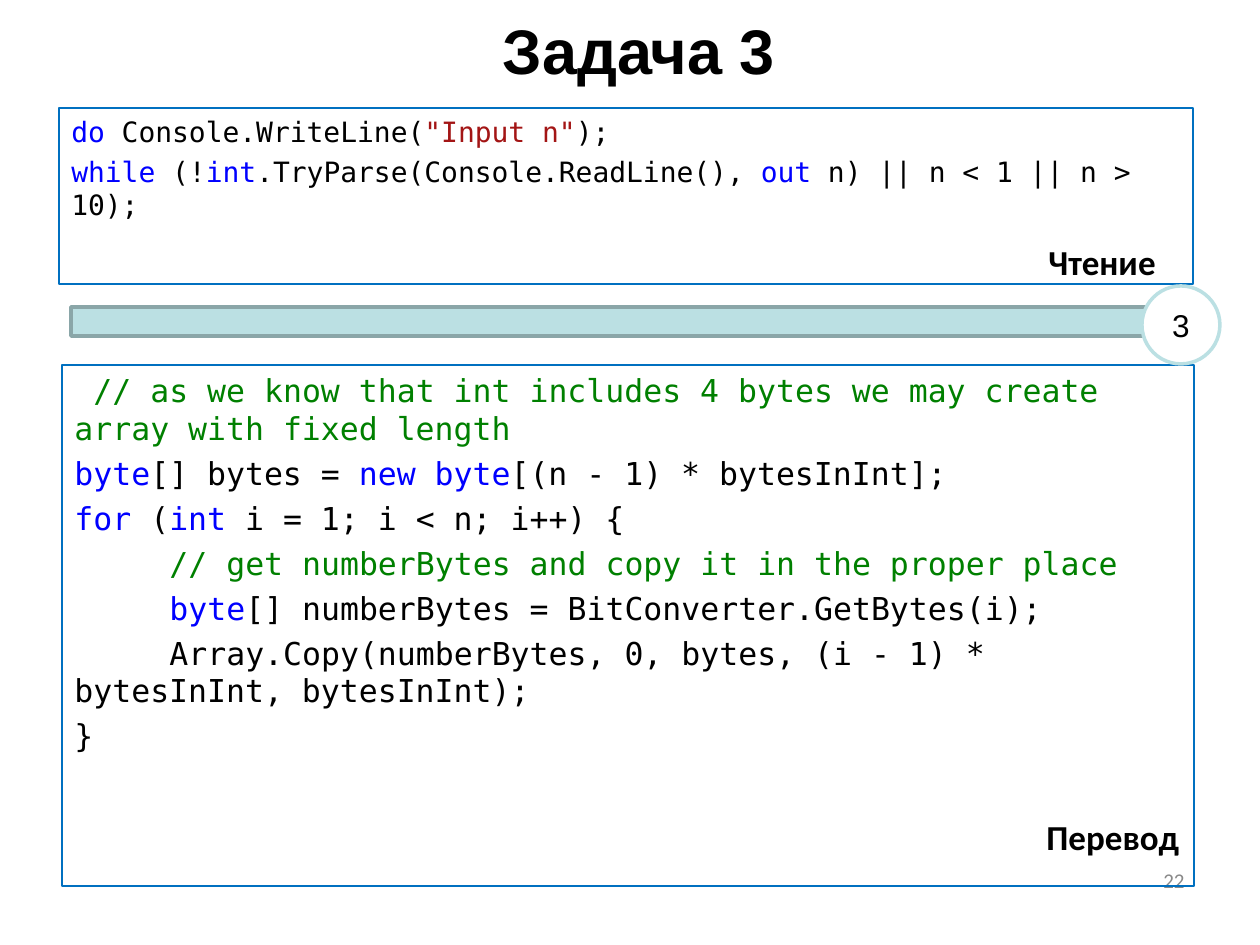
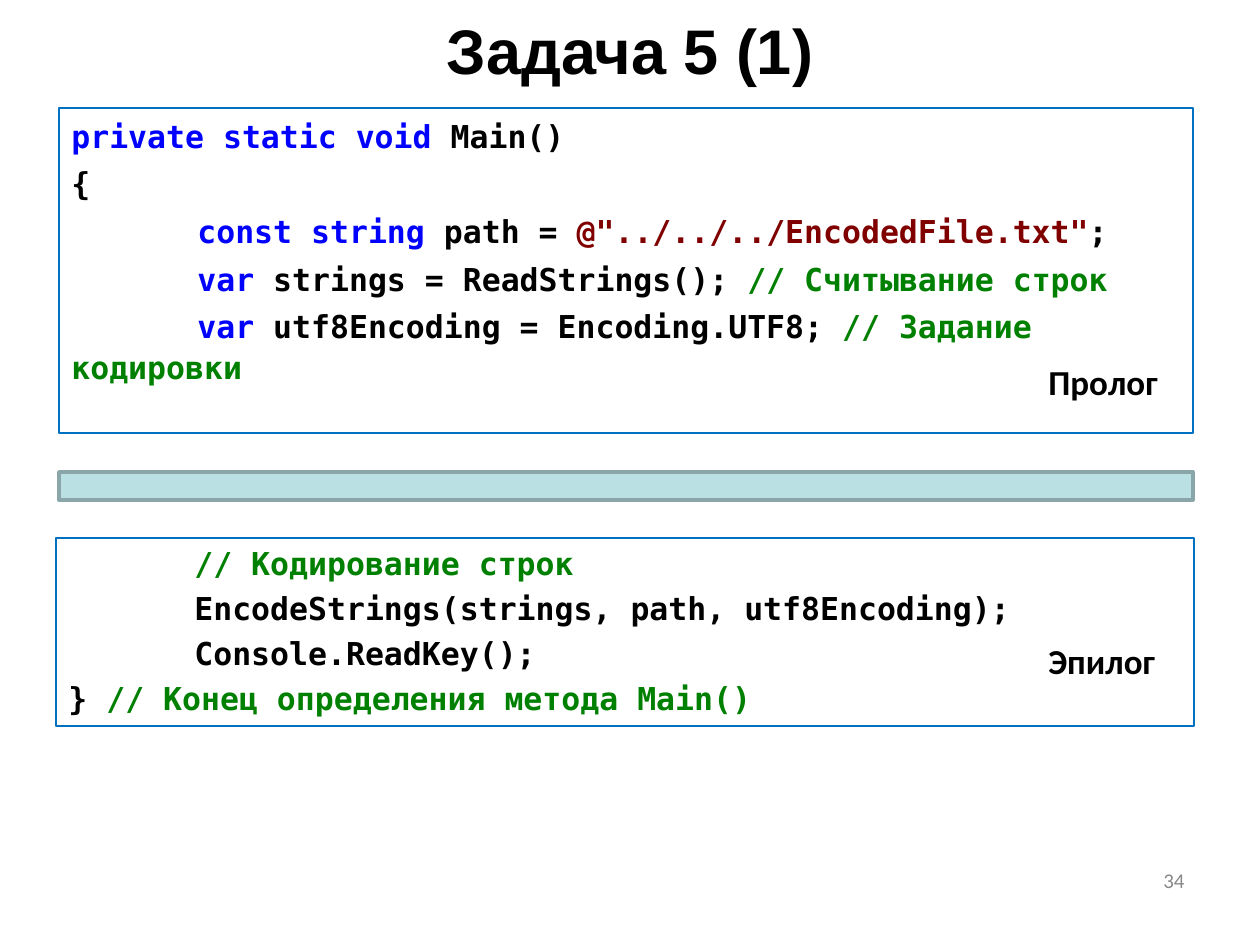
from dataclasses import dataclass

from pptx import Presentation
from pptx import util as u
from pptx.dml.color import RGBColor
from pptx.enum import shapes, text

SCALE = 914400 // 126


@dataclass(frozen=True)
class Theme:
    """Colours, fonts and type sizes shared by the slides."""
    ink: str = "000000"
    keyword: str = "0000FF"
    literal: str = "A31515"
    path_literal: str = "800000"
    comment: str = "008000"
    frame: str = "0070C0"
    band: str = "BBE0E3"
    band_edge: str = "8AA6A8"
    paper: str = "FFFFFF"
    muted: str = "898989"
    heading_font: str = "Arial"
    label_font: str = "Calibri"
    code_font: str = "DejaVu Sans Mono"
    title_size: int = 36
    label_size: int = 20
    code_size: int = 18
    small_code_size: int = 16
    number_size: int = 12
    paragraph_gap: float = 0.23


THEME = Theme()
TITLE_BOX = (63, 10, 1134, 78)
NUMBER_BOX = (903, 861, 294, 65)
CHARACTER = 19
TAB = 126


def pixels(value):
    """Turn pixels into EMU."""
    return u.Emu(round(value * SCALE))


def color(value):
    """Turn a hex string into a colour."""
    return RGBColor.from_string(value)


def set_font(font, name, size, ink=THEME.ink, bold=False):
    """Apply one type style to a font."""
    font.name, font.size, font.bold = name, u.Pt(size), bold
    font.color.rgb = color(ink)


def add_text(slide, box, words, name, size, ink=THEME.ink, bold=False,
             align=text.PP_ALIGN.LEFT, anchor=text.MSO_ANCHOR.TOP, wrap=True):
    """Add a single-style line of text."""
    frame = slide.shapes.add_textbox(*map(pixels, box)).text_frame
    frame.word_wrap = wrap
    frame.vertical_anchor = anchor
    paragraph = frame.paragraphs[0]
    paragraph.text = words
    paragraph.alignment = align
    set_font(paragraph.font, name, size, ink, bold)


def add_figure(slide, kind, box, line, width, fill=None):
    """Add a flat outlined preset shape."""
    shape = slide.shapes.add_shape(kind, *map(pixels, box))
    shape.shadow.inherit = False
    shape.line.color.rgb = color(line)
    shape.line.width = u.Pt(width)
    if fill:
        shape.fill.solid()
        shape.fill.fore_color.rgb = color(fill)
    else:
        shape.fill.background()
    return shape


def add_code(slide, box, lines, size=THEME.code_size, bold=False, spacing=1.0):
    """Add a framed listing; each line is a first-line indent and its tokens."""
    shape = add_figure(slide, shapes.MSO_SHAPE.RECTANGLE, box, THEME.frame, 1.25)
    frame = shape.text_frame
    frame.word_wrap = True
    frame.vertical_anchor = text.MSO_ANCHOR.TOP
    for index, (indent, *tokens) in enumerate(lines):
        paragraph = frame.add_paragraph() if index else frame.paragraphs[0]
        paragraph.alignment = text.PP_ALIGN.LEFT
        paragraph.space_before = u.Pt(round(size * THEME.paragraph_gap, 1))
        paragraph.line_spacing = spacing
        properties = paragraph._p.get_or_add_pPr()
        properties.set("marL", "0")
        properties.set("indent", str(pixels(indent)))
        set_font(paragraph.font, THEME.code_font, size, bold=bold)
        for token in tokens:
            words, ink = (token, THEME.ink) if isinstance(token, str) else token
            run = paragraph.add_run()
            run.text = words
            run.font.color.rgb = color(ink)


def add_label(slide, box):
    """Return a writer of bold labels at the given box."""
    def write(words):
        """Write the label."""
        add_text(slide, box, words, THEME.label_font, THEME.label_size,
                 bold=True, wrap=False)
    return write


def add_band(slide, box):
    """Add the divider between two listings."""
    add_figure(slide, shapes.MSO_SHAPE.RECTANGLE, box, THEME.band_edge, 2, THEME.band)


def add_badge(slide, box, words):
    """Add the round step marker."""
    shape = add_figure(slide, shapes.MSO_SHAPE.OVAL, box, THEME.band, 2, THEME.paper)
    frame = shape.text_frame
    frame.vertical_anchor = text.MSO_ANCHOR.MIDDLE
    paragraph = frame.paragraphs[0]
    paragraph.text = words
    paragraph.alignment = text.PP_ALIGN.CENTER
    set_font(paragraph.font, THEME.heading_font, THEME.code_size)


def start_slide(presentation, title, number):
    """Add a blank slide with its title and page number."""
    slide = presentation.slides.add_slide(presentation.slide_layouts[6])
    add_text(slide, TITLE_BOX, title, THEME.heading_font, THEME.title_size, bold=True,
             align=text.PP_ALIGN.CENTER, anchor=text.MSO_ANCHOR.MIDDLE)
    add_text(slide, NUMBER_BOX, number, THEME.label_font, THEME.number_size,
             THEME.muted, align=text.PP_ALIGN.RIGHT)
    return slide


def keyword(words):
    """Mark a language keyword."""
    return words, THEME.keyword


def comment(words):
    """Mark a code comment."""
    return words, THEME.comment


def build_bytes_slide(presentation):
    """Build the slide on reading a number and converting it to bytes."""
    slide = start_slide(presentation, " Задача 3", "22")
    add_code(slide, (59, 108, 1134, 176), [
        (0, keyword("do"), " Console.WriteLine(", ('"Input n"', THEME.literal), ");"),
        (0, keyword("while"), " (!", keyword("int"), ".TryParse(Console.ReadLine(), ",
         keyword("out"), " n) || n < 1 || n > 10);"),
    ], THEME.small_code_size)
    add_code(slide, (62, 365, 1132, 521), [
        (CHARACTER, comment("// as we know that int includes 4 bytes we may create "
                            "array with fixed length")),
        (0, keyword("byte"), "[] bytes = ", keyword("new byte"),
         "[(n - 1) * bytesInInt];"),
        (0, keyword("for"), " (", keyword("int"), " i = 1; i < n; i++) {"),
        (5 * CHARACTER, comment("// get numberBytes and copy it in the proper place")),
        (5 * CHARACTER, keyword("byte"), "[] numberBytes = BitConverter.GetBytes(i);"),
        (5 * CHARACTER, "Array.Copy(numberBytes, 0, bytes, (i - 1) * "
                        "bytesInInt, bytesInInt);"),
        (0, "}"),
    ])
    add_label(slide, (1036, 234, 133, 55))("Чтение")
    add_label(slide, (1034, 809, 159, 55))("Перевод")
    add_band(slide, (71, 307, 1122, 29))
    add_badge(slide, (1142, 286, 78, 78), "3")


def build_encoding_slide(presentation):
    """Build the slide on the opening and closing of the encoding program."""
    slide = start_slide(presentation, "Задача 5 (1)", "34")
    add_code(slide, (59, 108, 1134, 325), [
        (0, keyword("private static void"), " Main()"),
        (0, "{"),
        (TAB, keyword("const string"), " path = ",
         ('@"../../../EncodedFile.txt"', THEME.path_literal), ";"),
        (TAB, keyword("var"), " strings = ReadStrings(); ",
         comment("// Считывание строк")),
        (TAB, keyword("var"), " utf8Encoding = Encoding.UTF8; ",
         comment("// Задание кодировки")),
    ], bold=True, spacing=1.07)
    add_code(slide, (56, 538, 1138, 188), [
        (TAB, comment("// Кодирование строк")),
        (TAB, "EncodeStrings(strings, path, utf8Encoding);"),
        (TAB, "Console.ReadKey();"),
        (0, "} ", comment("// Конец определения метода Main()")),
    ], bold=True)
    add_label(slide, (1036, 354, 135, 55))("Пролог")
    add_label(slide, (1036, 633, 133, 55))("Эпилог")
    add_band(slide, (59, 472, 1134, 28))


def main():
    """Build and save the presentation."""
    presentation = Presentation()
    presentation.slide_width, presentation.slide_height = pixels(1260), pixels(945)
    build_bytes_slide(presentation)
    build_encoding_slide(presentation)
    presentation.save("out.pptx")


main()
